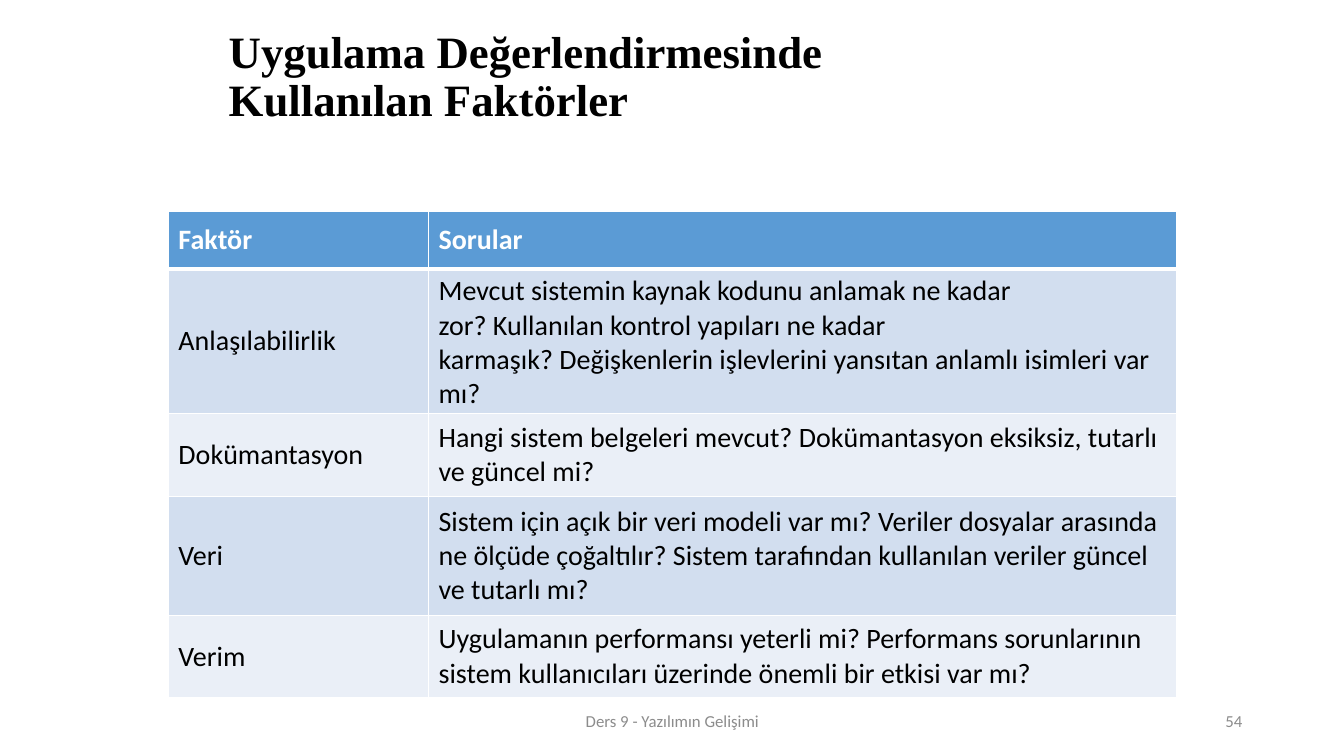
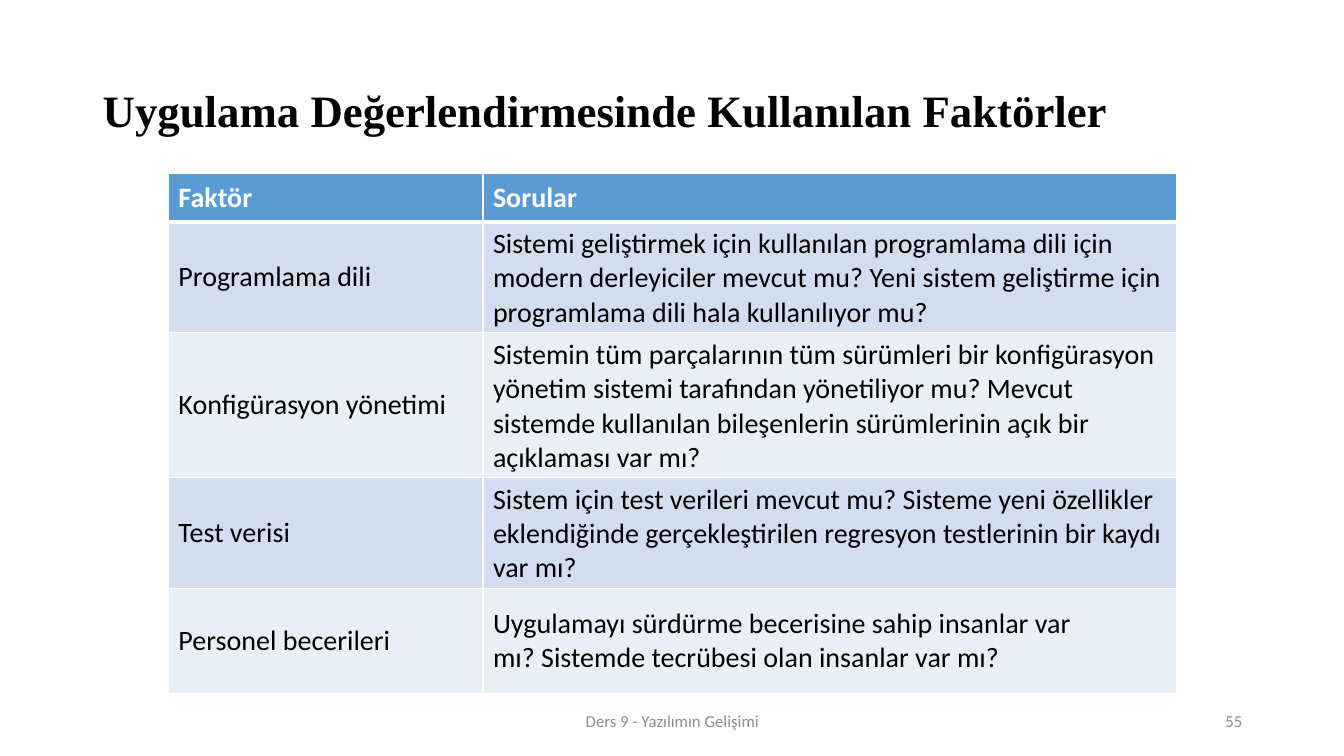
from lxml import etree
from pptx import Presentation
from pptx.dml.color import RGBColor
from pptx.enum.text import MSO_ANCHOR as Anchor, PP_ALIGN as Align
from pptx.oxml.ns import qn
from pptx.util import Inches, Pt

COLORS = {
    "text": "000000",
    "white": "FFFFFF",
    "muted": "8C8C8C",
    "header": "5B9BD5",
    "odd_row": "D2DEEF",
    "even_row": "EAEFF7",
}
TITLE_FONT = "Times New Roman"
BODY_FONT = "Calibri"
TITLE = "Uygulama Değerlendirmesinde Kullanılan Faktörler"
FOOTER = "Ders 9 - Yazılımın Gelişimi"
HEADINGS = ("Faktör", ["Sorular"])
HARD_SPACE = chr(160)

SLIDES = [
    {
        "number": 54,
        "title_place": (2.17, 0.15, 8.1, 1.25),
        "table_top": 2.1,
        "columns": (2.58, 7.42),
        "heights": (0.57, 1.18, 0.82, 1.18, 0.82),
        "factors": [
            ("Anlaşılabilirlik", [
                "Mevcut sistemin kaynak kodunu anlamak ne kadar zor?",
                "Kullanılan kontrol yapıları ne kadar karmaşık?",
                "Değişkenlerin işlevlerini yansıtan anlamlı isimleri var mı?",
            ]),
            ("Dokümantasyon", [
                "Hangi sistem belgeleri mevcut?",
                "Dokümantasyon eksiksiz, tutarlı ve güncel mi?",
            ]),
            ("Veri", [
                "Sistem için açık bir veri modeli var mı?",
                "Veriler dosyalar arasında ne ölçüde çoğaltılır?",
                "Sistem tarafından kullanılan veriler güncel ve tutarlı mı?",
            ]),
            ("Verim", [
                "Uygulamanın performansı yeterli mi?",
                "Performans sorunlarının sistem kullanıcıları üzerinde "
                "önemli bir etkisi var mı?",
            ]),
        ],
    },
    {
        "number": 55,
        "title_place": (0.92, 0.4, 11.5, 1.45),
        "table_top": 1.72,
        "columns": (3.12, 6.88),
        "heights": (0.48, 1.05, 1.36, 1.05, 1.05),
        "factors": [
            ("Programlama dili", [
                "Sistemi geliştirmek için kullanılan programlama dili için "
                "modern derleyiciler mevcut mu?",
                "Yeni sistem geliştirme için programlama dili hala "
                "kullanılıyor mu?",
            ]),
            ("Konfigürasyon yönetimi", [
                "Sistemin tüm parçalarının tüm sürümleri bir konfigürasyon "
                "yönetim sistemi tarafından yönetiliyor mu?",
                "Mevcut sistemde kullanılan bileşenlerin sürümlerinin açık "
                "bir açıklaması var mı?",
            ]),
            ("Test verisi", [
                "Sistem için test verileri mevcut mu?",
                "Sisteme yeni özellikler eklendiğinde gerçekleştirilen "
                "regresyon testlerinin bir kaydı var mı?",
            ]),
            ("Personel becerileri", [
                "Uygulamayı sürdürme becerisine sahip insanlar var mı?",
                "Sistemde tecrübesi olan insanlar var mı?",
            ]),
        ],
    },
]


def rgb(name):
    return RGBColor.from_string(COLORS[name])


def style_font(para, font_name, size, color, bold=False):
    para.font.name = font_name
    para.font.size = Pt(size)
    para.font.bold = bold
    para.font.color.rgb = rgb(color)


def add_text(page, place, text, font_name, size, color, align=Align.LEFT,
             bold=False):
    box = page.shapes.add_textbox(*map(Inches, place))
    frame = box.text_frame
    frame.word_wrap = True
    frame.vertical_anchor = Anchor.MIDDLE
    para = frame.paragraphs[0]
    para.text = text
    para.alignment = align
    style_font(para, font_name, size, color, bold)
    return para


def add_title(page, place):
    para = add_text(page, place, TITLE, TITLE_FONT, 32, "text", bold=True)
    para.line_spacing = 0.9


def add_footer(page, number):
    add_text(page, (9.42, 6.95, 3, 0.4), str(number), BODY_FONT, 12, "muted",
             Align.RIGHT)
    add_text(page, (4.42, 6.95, 4.5, 0.4), FOOTER, BODY_FONT, 12, "muted",
             Align.CENTER)


def add_borders(cell, bottom_width):
    properties = cell._tc.get_or_add_tcPr()
    widths = {"lnL": 1, "lnR": 1, "lnT": 1, "lnB": bottom_width}
    for side, width in widths.items():
        line = etree.SubElement(properties, qn(f"a:{side}"), w=str(Pt(width)))
        fill = etree.SubElement(line, qn("a:solidFill"))
        etree.SubElement(fill, qn("a:srgbClr"), val=COLORS["white"])


def fill_cell(cell, text, row_index):
    is_header = row_index == 0
    add_borders(cell, 3 if is_header else 1)
    cell.fill.solid()
    band = "odd_row" if row_index % 2 else "even_row"
    cell.fill.fore_color.rgb = rgb("header" if is_header else band)
    cell.vertical_anchor = Anchor.MIDDLE
    para = cell.text_frame.paragraphs[0]
    para.text = text
    style_font(para, BODY_FONT, 20, "white" if is_header else "text", is_header)


def add_factor_table(page, top, columns, heights, factors):
    rows = [HEADINGS, *factors]
    frame = page.shapes.add_table(
        len(rows), len(columns), Inches(1.67), Inches(top),
        Inches(sum(columns)), Inches(sum(heights)))
    table = frame.table
    for column, width in zip(table.columns, columns):
        column.width = Inches(width)
    for index, (height, (factor, questions)) in enumerate(zip(heights, rows)):
        table.rows[index].height = Inches(height)
        fill_cell(table.cell(index, 0), factor, index)
        fill_cell(table.cell(index, 1), HARD_SPACE.join(questions), index)


def main():
    deck = Presentation()
    deck.slide_width = Inches(13.33)
    deck.slide_height = Inches(7.5)
    for content in SLIDES:
        page = deck.slides.add_slide(deck.slide_layouts[6])
        add_title(page, content["title_place"])
        add_factor_table(page, content["table_top"], content["columns"],
                         content["heights"], content["factors"])
        add_footer(page, content["number"])
    deck.save("out.pptx")


if __name__ == "__main__":
    main()
